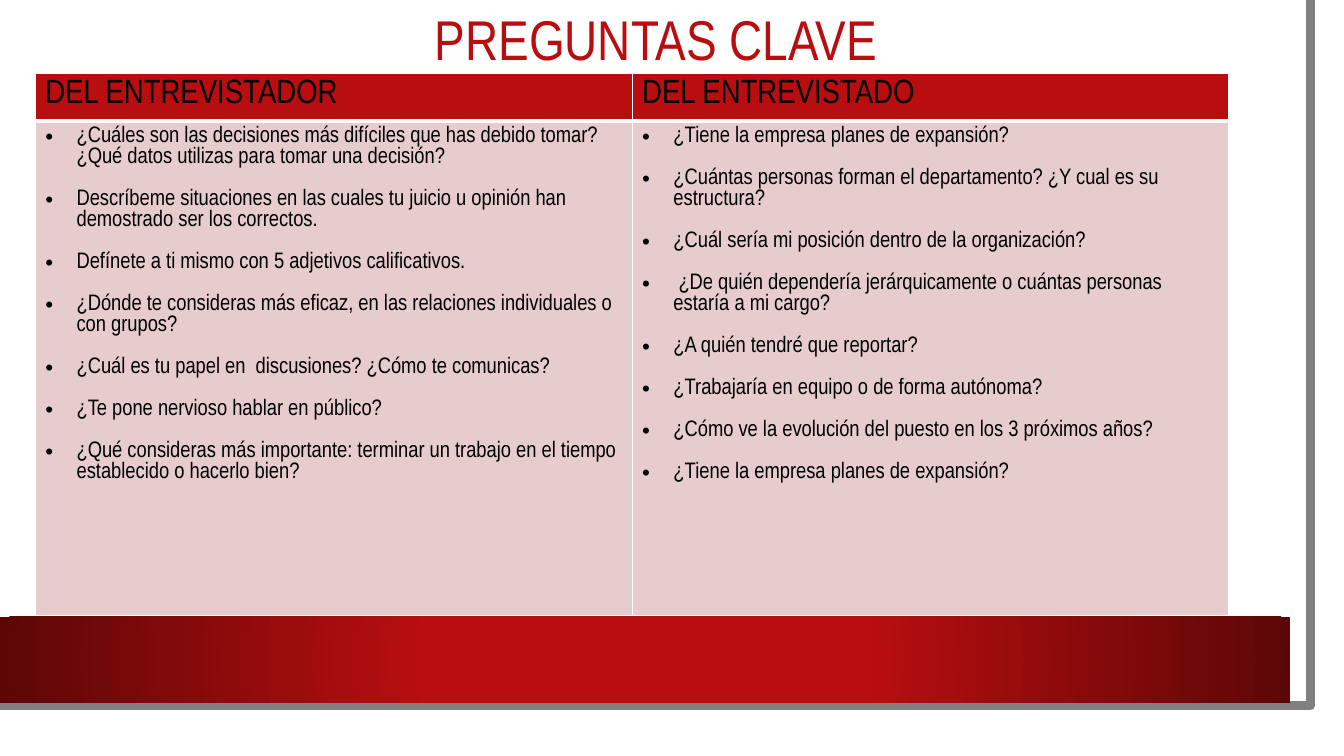
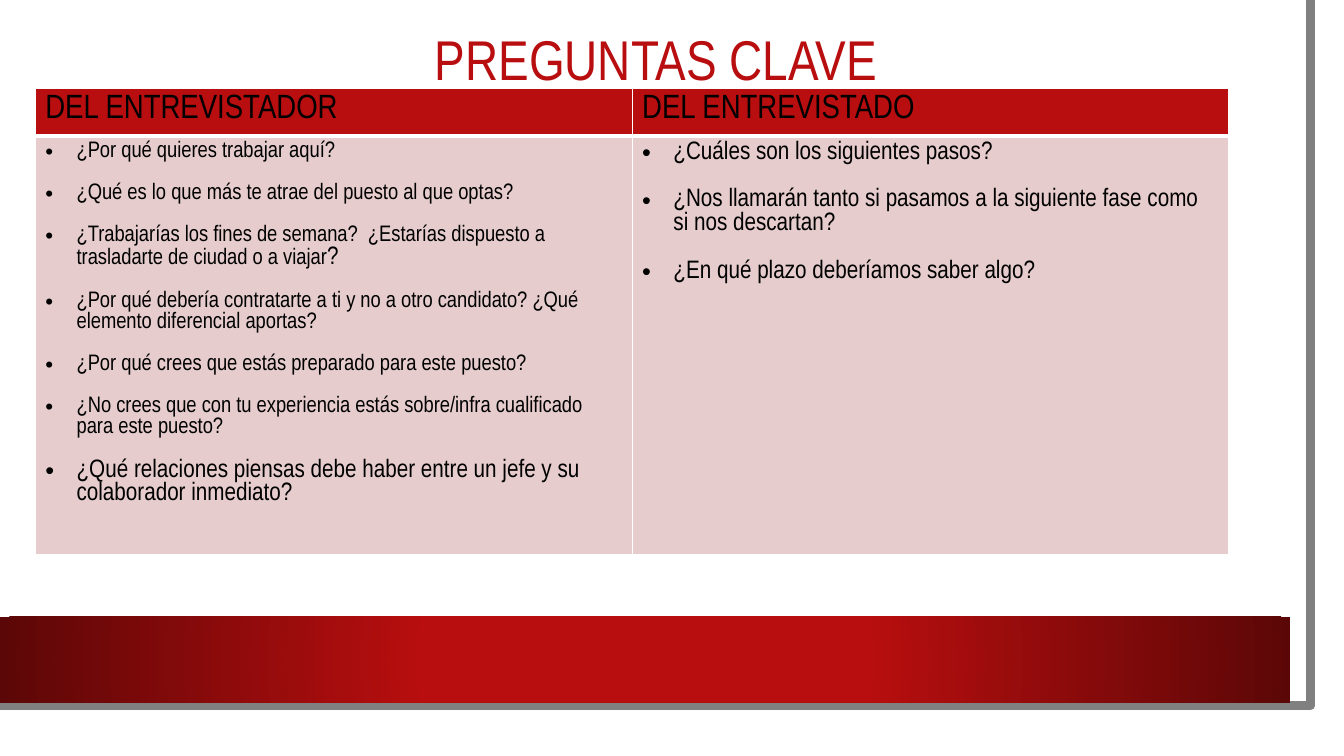
import pptx
import pptx.dml.color
import pptx.enum.dml
import pptx.enum.shapes
import pptx.enum.text
import pptx.oxml
import pptx.oxml.ns
import pptx.util

Inches = pptx.util.Inches
Pt = pptx.util.Pt
qn = pptx.oxml.ns.qn

COLORS = {
    "red": "B80E0F",
    "dark_red": "5C0707",
    "pink": "E6CCCC",
    "gray": "808080",
    "white": "FFFFFF",
    "black": "000000",
}
TITLE = "PREGUNTAS CLAVE"
HEADINGS = ["DEL ENTREVISTADOR", "DEL ENTREVISTADO"]

# Each column is (text size, questions); a question is a string or a list of (text, size)
FIRST_COLUMNS = [
    (16, [
        "¿Cuáles son las decisiones más difíciles que has debido tomar? "
        "¿Qué datos utilizas para tomar una decisión?",
        "Descríbeme situaciones en las cuales tu juicio u opinión han demostrado ser los correctos.",
        "Defínete a ti mismo con 5 adjetivos calificativos.",
        "¿Dónde te consideras más eficaz, en las relaciones individuales o con grupos?",
        "¿Cuál es tu papel en  discusiones? ¿Cómo te comunicas?",
        "¿Te pone nervioso hablar en público?",
        "¿Qué consideras más importante: terminar un trabajo en el tiempo "
        "establecido o hacerlo bien?",
    ]),
    (16, [
        "¿Tiene la empresa planes de expansión?",
        "¿Cuántas personas forman el departamento? ¿Y cual es su estructura?",
        "¿Cuál sería mi posición dentro de la organización?",
        " ¿De quién dependería jerárquicamente o cuántas personas estaría a mi cargo?",
        "¿A quién tendré que reportar?",
        "¿Trabajaría en equipo o de forma autónoma?",
        "¿Cómo ve la evolución del puesto en los 3 próximos años?",
        "¿Tiene la empresa planes de expansión?",
    ]),
]
SECOND_COLUMNS = [
    (16, [
        "¿Por qué quieres trabajar aquí?",
        "¿Qué es lo que más te atrae del puesto al que optas?",
        [("¿Trabajarías los fines de semana?  ¿Estarías dispuesto a "
          "trasladarte de ciudad o a viajar", 16), ("?", 18)],
        "¿Por qué debería contratarte a ti y no a otro candidato? "
        "¿Qué elemento diferencial aportas?",
        "¿Por qué crees que estás preparado para este puesto?",
        "¿No crees que con tu experiencia estás sobre/infra cualificado para este puesto?",
        [("¿Qué relaciones piensas debe haber entre un jefe y su colaborador inmediato?", 18)],
    ]),
    (18, [
        "¿Cuáles son los siguientes pasos?",
        "¿Nos llamarán tanto si pasamos a la siguiente fase como si nos descartan?",
        "¿En qué plazo deberíamos saber algo?",
    ]),
]


def rgb(name):
    return pptx.dml.color.RGBColor.from_string(COLORS[name])


class QuestionDeck:
    font = "Arial Narrow"
    line_height = 0.94  # height of a line relative to its text size

    def __init__(self):
        self.deck = pptx.Presentation()
        self.deck.slide_width = Inches(13.33)
        self.deck.slide_height = Inches(7.5)
        self.layout = self.deck.slide_layouts[5]
        self.page = None

    def new_page(self):
        first = self.page is None
        self.page = self.deck.slides.add_slide(self.layout)
        if first:
            self.frame_layout()

    def frame_layout(self):
        """Draw the panel, edge and band, then hand them to the shared layout."""
        parts = [self.rectangle(0, 0, 13.1, 7.27), self.edge(), self.band()]
        tree = self.layout.shapes._spTree
        for index, part in enumerate(parts, start=2):
            tree.insert(index, part._element)

    def rectangle(self, left, top, width, height, color="white"):
        box = self.page.shapes.add_shape(
            pptx.enum.shapes.MSO_SHAPE.RECTANGLE,
            Inches(left), Inches(top), Inches(width), Inches(height))
        box.shadow.inherit = False
        box.fill.solid()
        box.fill.fore_color.rgb = rgb(color)
        box.line.fill.background()
        return box

    def edge(self):
        builder = self.page.shapes.build_freeform(12.82, 0, scale=Inches(1))
        builder.add_line_segments([(12.85, 7.02), (-0.03, 7.01)], close=False)
        edge = builder.convert_to_shape()
        edge.shadow.inherit = False
        edge.fill.background()
        edge.line.color.rgb = rgb("gray")
        edge.line.width = Pt(6.5)
        return edge

    def band(self):
        band = self.rectangle(0, 6.12, 12.8, 0.85)
        band.fill.gradient()
        stops = [(0.34, "red"), (1, "dark_red")]
        for stop, (position, color) in zip(band.fill.gradient_stops, stops):
            stop.position = position
            stop.color.rgb = rgb(color)
        # Turn the linear gradient into a circular one
        gradient = band._element.spPr.find(qn("a:gradFill"))
        circle = pptx.oxml.parse_xml(
            f'<a:path {pptx.oxml.ns.nsdecls("a")} path="circle">'
            '<a:fillToRect l="50000" t="50000" r="50000" b="50000"/></a:path>')
        gradient.replace(gradient.find(qn("a:lin")), circle)
        return band

    def format_span(self, span, size, color="black"):
        span.font.name = self.font
        span.font.size = Pt(size)
        span.font.bold = False
        span.font.color.rgb = rgb(color)

    def title(self, text, top):
        box = self.page.shapes.title
        box.left, box.top = Inches(0.82), Inches(top)
        box.width, box.height = Inches(11.37), Inches(0.85)
        frame = box.text_frame
        frame.text = text
        frame.word_wrap = True
        frame.auto_size = pptx.enum.text.MSO_AUTO_SIZE.NONE
        frame.vertical_anchor = pptx.enum.text.MSO_ANCHOR.MIDDLE
        para = frame.paragraphs[0]
        para.alignment = pptx.enum.text.PP_ALIGN.CENTER
        para.line_spacing = 0.9
        self.format_span(para.runs[0], 40, "red")

    def paint_cell(self, cell, color, bottom=1):
        cell.fill.solid()
        cell.fill.fore_color.rgb = rgb(color)
        properties = cell._tc.get_or_add_tcPr()
        widths = {"lnL": 1, "lnR": 1, "lnT": 1, "lnB": bottom}
        for index, (side, width) in enumerate(widths.items()):
            properties.insert(index, pptx.oxml.parse_xml(
                f'<a:{side} {pptx.oxml.ns.nsdecls("a")} w="{Pt(width)}"><a:solidFill>'
                f'<a:srgbClr val="{COLORS["white"]}"/></a:solidFill></a:{side}>'))

    def bullet(self, para):
        properties = para._p.get_or_add_pPr()
        properties.set("marL", str(Inches(0.31)))
        properties.set("indent", str(-Inches(0.31)))
        for tag, name, value in [("buFont", "typeface", "Arial"), ("buChar", "char", "•")]:
            properties.append(pptx.oxml.parse_xml(
                f'<a:{tag} {pptx.oxml.ns.nsdecls("a")} {name}="{value}"/>'))

    def question_list(self, frame, size, questions):
        for index, question in enumerate(questions):
            para = frame.add_paragraph() if index else frame.paragraphs[0]
            if index:
                para.space_before = Pt(round(size * self.line_height))
            self.bullet(para)
            spans = [(question, size)] if isinstance(question, str) else question
            for text, span_size in spans:
                span = para.add_run()
                span.text = text
                self.format_span(span, span_size)

    def question_table(self, top, body_height, columns):
        header_height = 0.47
        table = self.page.shapes.add_table(
            2, len(columns), Inches(0.35), Inches(top),
            Inches(11.84), Inches(header_height + body_height)).table
        table.horz_banding = False
        table.rows[0].height = Inches(header_height)
        table.rows[1].height = Inches(body_height)
        for index, (heading, (size, questions)) in enumerate(zip(HEADINGS, columns)):
            header, body = table.cell(0, index), table.cell(1, index)
            header.text_frame.text = heading
            self.format_span(header.text_frame.paragraphs[0].runs[0], 24)
            self.paint_cell(header, "red", bottom=3)
            self.question_list(body.text_frame, size, questions)
            self.paint_cell(body, "pink")


def main():
    book = QuestionDeck()

    # Decisions and the company
    book.new_page()
    book.title(TITLE, 0)
    book.question_table(0.73, 4.91, FIRST_COLUMNS)

    # Motivation and next steps
    book.new_page()
    book.title(TITLE, 0.19)
    book.question_table(0.88, 4.15, SECOND_COLUMNS)

    book.deck.save("out.pptx")


if __name__ == "__main__":
    main()
